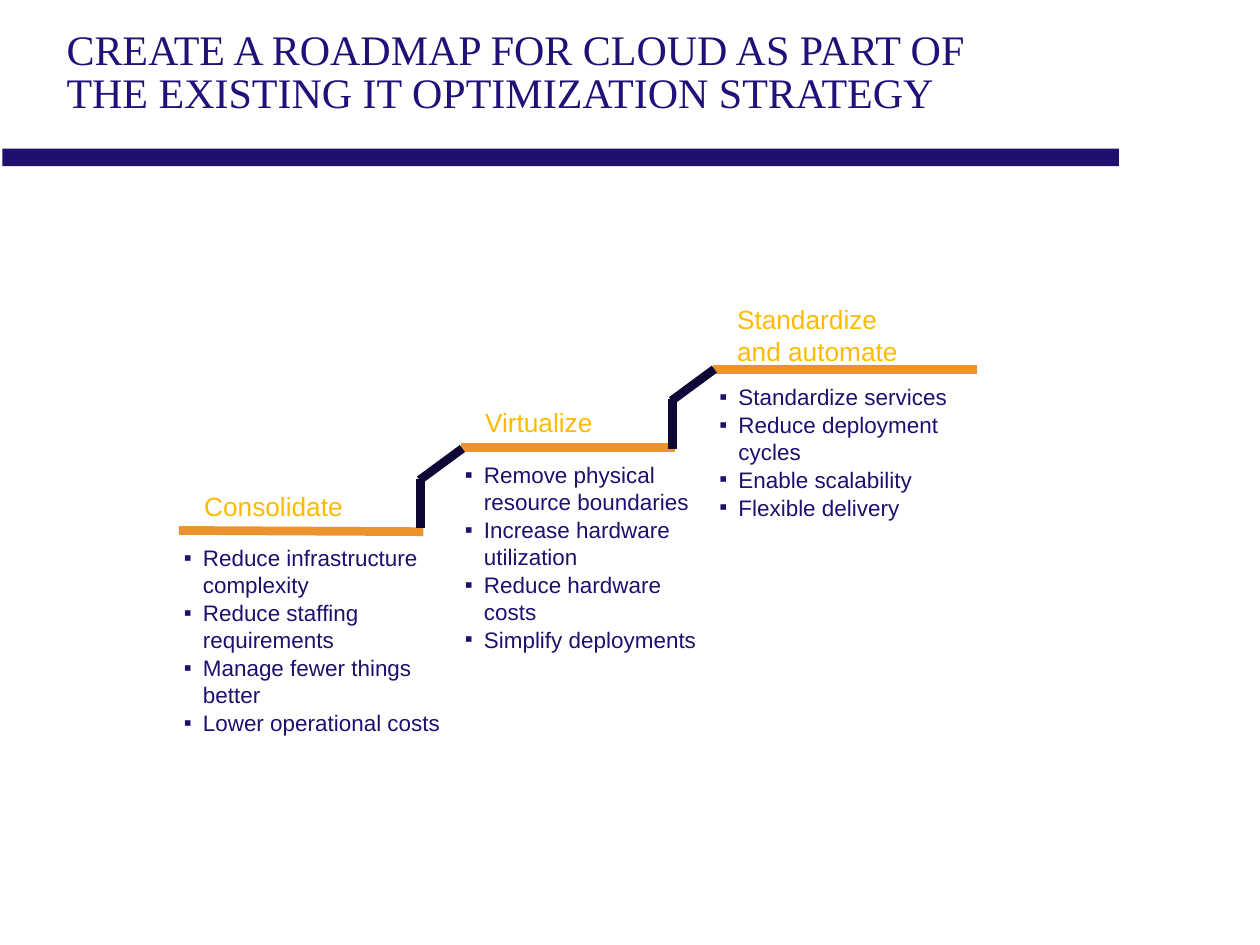
from lxml.etree import SubElement
from pptx import Presentation
from pptx.dml.color import RGBColor
from pptx.enum.shapes import MSO_CONNECTOR, MSO_SHAPE
from pptx.enum.text import MSO_ANCHOR
from pptx.oxml.ns import qn
from pptx.util import Inches, Pt

TITLE_BLUE = RGBColor(0x20, 0x11, 0x79)
NAVY = RGBColor(0x1D, 0x10, 0x6E)
YELLOW = RGBColor(0xFC, 0xBB, 0x02)
ORANGE = RGBColor(0xEC, 0x93, 0x2E)
DARK = RGBColor(0x0E, 0x08, 0x37)

TITLE = "CREATE A ROADMAP FOR CLOUD AS PART OF THE EXISTING IT OPTIMIZATION STRATEGY"

# Each stage: heading, heading box, bullets, bullet box, bullet indent, tread line
STAGES = [
    ("Consolidate", (1.55, 3.9, 1.62, 0.24),
     ["Reduce infrastructure complexity", "Reduce staffing requirements",
      "Manage fewer things better", "Lower operational costs"],
     (1.3, 4.28, 2.44, 1.72), 0.24, (1.42, 4.21, 3.36, 4.22)),
    ("Virtualize", (3.78, 3.23, 1.43, 0.24),
     ["Remove physical resource boundaries", "Increase hardware utilization",
      "Reduce hardware\ncosts", "Simplify deployments"],
     (3.62, 3.62, 1.95, 1.6), 0.15, (3.66, 3.55, 5.36, 3.55)),
    ("Standardize\nand automate", (5.78, 2.43, 1.69, 0.46),
     ["Standardize services", "Reduce deployment cycles",
      "Enable scalability", "Flexible delivery"],
     (5.55, 3, 2.25, 1.33), 0.24, (5.66, 2.93, 7.75, 2.93)),
]
RISERS = [(3.34, 3.8), (5.34, 3.17)]


def add_box(page, place, insets, anchor=MSO_ANCHOR.TOP):
    box = page.shapes.add_textbox(*map(Inches, place))
    frame = box.text_frame
    frame.word_wrap = True
    frame.vertical_anchor = anchor
    (frame.margin_left, frame.margin_top,
     frame.margin_right, frame.margin_bottom) = map(Inches, insets)
    return frame


def add_text(para, text, font, size, color):
    for number, line in enumerate(text.split("\n")):
        if number:
            para.add_line_break()
        span = para.add_run()
        span.text = line
        span.font.name = font
        span.font.size = Pt(size)
        span.font.color.rgb = color


def add_bullets(page, place, items, indent):
    frame = add_box(page, place, (0.07, 0.04, 0, 0.04))
    for number, item in enumerate(items):
        para = frame.add_paragraph() if number else frame.paragraphs[0]
        settings = para._p.get_or_add_pPr()
        settings.set("marL", str(Inches(indent)))
        settings.set("indent", str(Inches(-0.15)))
        SubElement(settings, qn("a:buFont"), typeface="Arial")
        SubElement(settings, qn("a:buChar"), char="▪")
        if number:
            para.space_before = Pt(0.6)
        add_text(para, item, "Arial", 12.8, NAVY)


def add_line(page, ends, color):
    line = page.shapes.add_connector(MSO_CONNECTOR.STRAIGHT, *map(Inches, ends))
    line.line.color.rgb = color
    line.line.width = Pt(5)
    SubElement(line._element.spPr, qn("a:effectLst"))


def add_bar(page, place, color):
    bar = page.shapes.add_shape(MSO_SHAPE.RECTANGLE, *map(Inches, place))
    bar.shadow.inherit = False
    bar.fill.solid()
    bar.fill.fore_color.rgb = color
    bar.line.fill.background()


def main():
    deck = Presentation()
    deck.slide_width, deck.slide_height = Inches(10), Inches(7.5)
    page = deck.slides.add_slide(deck.slide_layouts[6])

    # Title and rule
    add_bar(page, (0.02, 1.18, 8.86, 0.14), NAVY)
    frame = add_box(page, (0.43, 0.09, 8.03, 1), (0.1, 0.05, 0.1, 0.05),
                    MSO_ANCHOR.MIDDLE)
    frame.paragraphs[0].line_spacing = 0.85
    add_text(frame.paragraphs[0], TITLE, "Times New Roman", 24, TITLE_BLUE)

    # Stage headings, bullets and treads
    for heading, heading_place, items, items_place, indent, tread in STAGES:
        frame = add_box(page, heading_place, (0.07, 0.04, 0.07, 0.04),
                        MSO_ANCHOR.MIDDLE)
        add_text(frame.paragraphs[0], heading, "Arial", 15, YELLOW)
        add_bullets(page, items_place, items, indent)
        add_line(page, tread, ORANGE)

    # Risers: an upright and a slope up to the next tread
    for x, top in RISERS:
        add_line(page, (x, top, x, top + 0.39), DARK)
        add_line(page, (x - 0.01, top + 0.01, x + 0.33, top - 0.24), DARK)

    deck.save("out.pptx")


if __name__ == "__main__":
    main()
